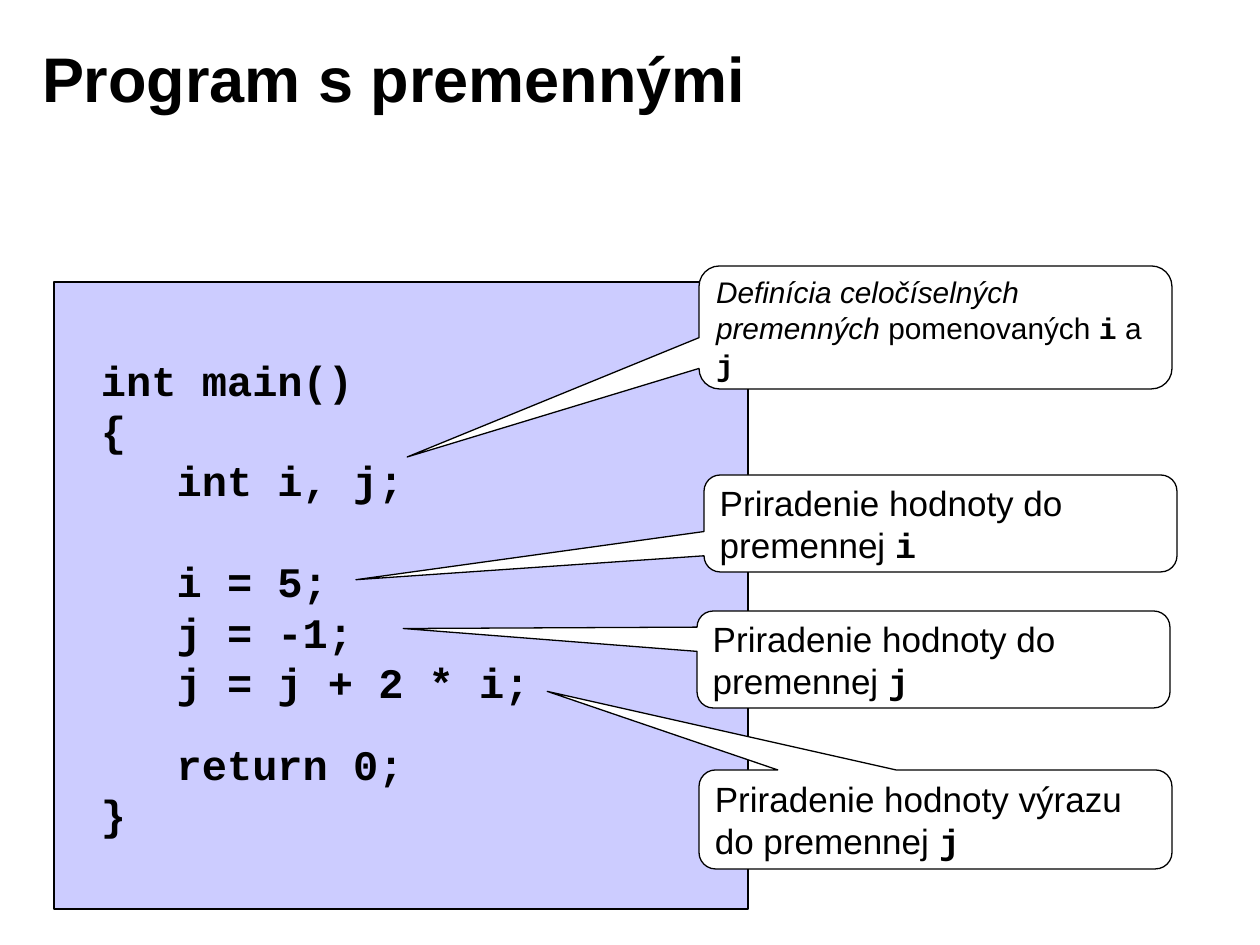
from pptx import Presentation
from pptx.dml.color import RGBColor
from pptx.enum.shapes import MSO_SHAPE
from pptx.enum.text import MSO_ANCHOR, PP_ALIGN
from pptx.util import Emu, Pt

SCALE = 914400 / 126
BLACK, WHITE, LAVENDER = "000000", "FFFFFF", "CCCCFF"
SANS, MONO = "Arial", "Courier New"


def px(length):
    """Turn pixels into EMU."""
    return Emu(round(length * SCALE))


def color(value):
    """Turn a hex string into a colour."""
    return RGBColor.from_string(value)


def apply(target, values):
    """Set every attribute in a dict of format values."""
    for name, value in values.items():
        setattr(target, name, value)


class SlideBuilder:
    """Hold the style and the current slide."""

    def __init__(self, presentation):
        """Add a title-only slide."""
        self.slide = presentation.slides.add_slide(presentation.slide_layouts[5])
        self.line_width = Pt(0.75)

    def place(self, shape, box):
        """Move and size a shape."""
        apply(shape, dict(zip(("left", "top", "width", "height"), map(px, box))))

    def frame(self, shape, anchor, side):
        """Format the text frame of a shape."""
        apply(shape.text_frame, {
            "word_wrap": True, "vertical_anchor": anchor,
            "margin_left": px(side), "margin_right": px(side),
            "margin_top": px(6), "margin_bottom": px(6),
        })
        return shape.text_frame

    def run(self, paragraph, text, size, name=SANS, bold=False, italic=False):
        """Add a formatted run."""
        run = paragraph.add_run()
        run.text = text
        apply(run.font, {"size": Pt(size), "name": name, "bold": bold, "italic": italic})
        run.font.color.rgb = color(BLACK)

    def title(self, text, box):
        """Fill the title placeholder."""
        shape = self.slide.shapes.title
        self.place(shape, box)
        paragraph = self.frame(shape, MSO_ANCHOR.MIDDLE, 13).paragraphs[0]
        paragraph.alignment = PP_ALIGN.LEFT
        self.run(paragraph, text, 36, bold=True)

    def shape(self, kind, box, fill):
        """Add an outlined preset shape."""
        shape = self.slide.shapes.add_shape(kind, *map(px, box))
        shape.shadow.inherit = False
        shape.fill.solid()
        shape.fill.fore_color.rgb = color(fill)
        shape.line.color.rgb = color(BLACK)
        shape.line.width = self.line_width
        return shape

    def code(self, lines, box):
        """Add code from pairs of text and space before."""
        shape = self.slide.shapes.add_textbox(*map(px, box))
        frame = self.frame(shape, MSO_ANCHOR.TOP, 13)
        for index, (text, gap) in enumerate(lines):
            paragraph = frame.add_paragraph() if index else frame.paragraphs[0]
            apply(paragraph, {"line_spacing": Pt(28.8), "space_before": Pt(gap)})
            self.run(paragraph, text, 24, MONO, bold=True)

    def callout(self, box, pointer, parts, size, spacing):
        """Add a rounded callout with its pointer and text runs."""
        shape = self.shape(MSO_SHAPE.ROUNDED_RECTANGULAR_CALLOUT, box, WHITE)
        for index, value in enumerate((*pointer, 0.167)):
            shape.adjustments[index] = value
        paragraph = self.frame(shape, MSO_ANCHOR.MIDDLE, 11).paragraphs[0]
        apply(paragraph, {"alignment": PP_ALIGN.LEFT, "line_spacing": Pt(spacing)})
        for text, values in parts:
            self.run(paragraph, text, size, **values)


def main():
    """Build the slide."""
    presentation = Presentation()
    apply(presentation, {"slide_width": px(1260), "slide_height": px(945)})
    builder = SlideBuilder(presentation)
    builder.title("Program s premennými", (29, 19, 1012, 117))
    builder.shape(MSO_SHAPE.RECTANGLE, (54, 282, 694, 627), LAVENDER)
    builder.code([
        ("int main()", 0),
        ("{", 0),
        ("   int i, j;", 0),
        ("   i = 5;", 28.8),
        ("   j = -1;", 0),
        ("   j = j + 2 * i;", 0),
        ("   return 0;", 18),
        ("}", 0),
    ], (88, 348, 672, 500))

    variable = {"name": MONO, "bold": True}
    builder.callout((699, 266, 473, 123), (-1.117, 1.053), [
        ("Definícia celočíselných premenných ", {"italic": True}),
        ("pomenovaných ", {}),
        ("i", variable),
        (" a ", {}),
        ("j", variable),
    ], 17, 20.8)
    assignments = [
        ((704, 475, 473, 97), (-1.236, 0.58), "Priradenie hodnoty do premennej ", "i"),
        ((699, 770, 473, 99), (-0.821, -1.294), "Priradenie hodnoty výrazu do premennej ", "j"),
        ((697, 611, 473, 97), (-1.121, -0.319), "Priradenie hodnoty do premennej ", "j"),
    ]
    for box, pointer, text, letter in assignments:
        builder.callout(box, pointer, [(text, {}), (letter, variable)], 20, 24)
    presentation.save("out.pptx")


if __name__ == "__main__":
    main()
